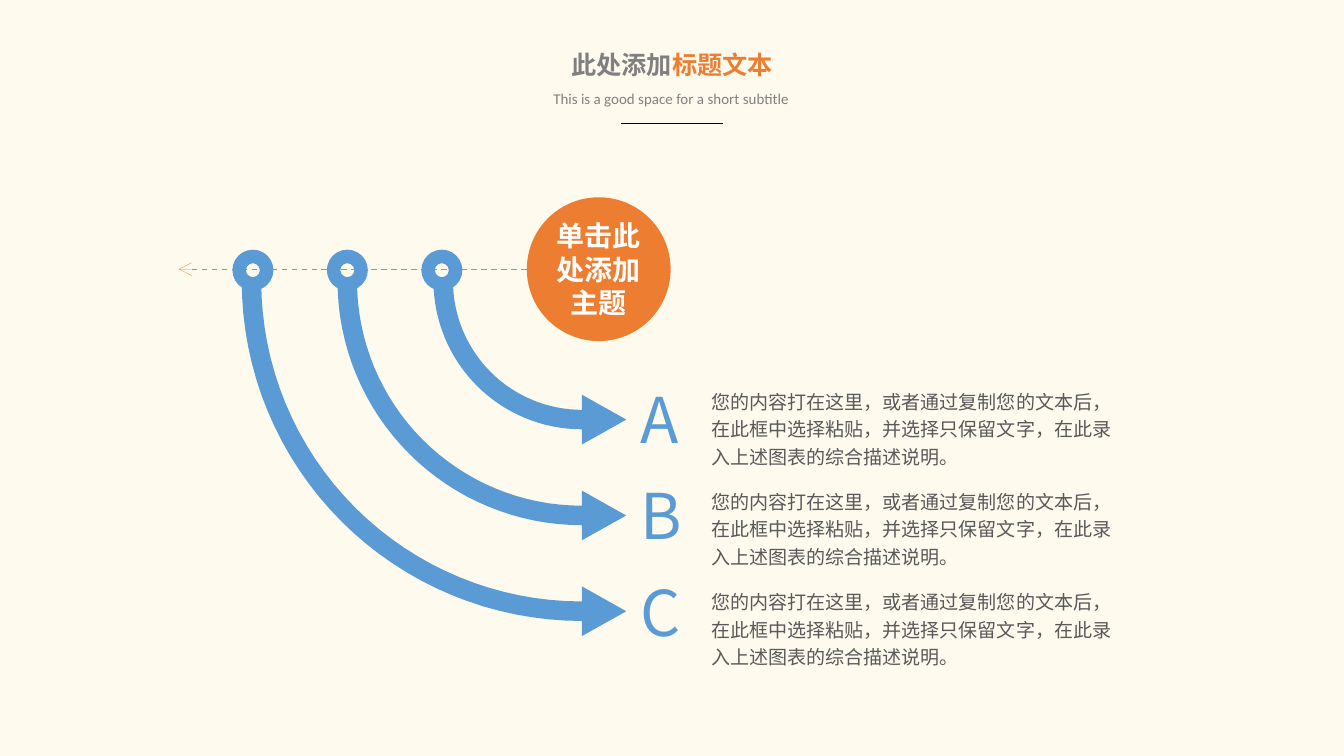
import math

from lxml import etree
from pptx import Presentation, util as u
from pptx.dml.color import RGBColor
from pptx.enum import dml, shapes, text
from pptx.oxml.ns import qn

COLORS = {"cream": "FEFAEE", "orange": "ED7D31", "blue": "5B9BD5", "grey": "808080",
          "body": "595959", "black": "000000", "white": "FFFFFF"}
CJK = "Noto Sans CJK SC"
COLUMNS = 100  # square grid cells across the slide
WIDTH = u.Inches(10)
CELL = WIDTH / COLUMNS


def grid(*cells):
    return [round(c * CELL) for c in cells]


def write(shape, runs, size, font=CJK, bold=False, wrap=True, tight=True,
          align=None, anchor=text.MSO_ANCHOR.TOP, grow=True, spacing=None):
    """Fill a shape's text frame with one paragraph of (words, colour) runs."""
    frame = shape.text_frame
    frame.word_wrap = wrap
    frame.vertical_anchor = anchor
    if grow:
        frame.auto_size = text.MSO_AUTO_SIZE.SHAPE_TO_FIT_TEXT
    if tight:
        frame.margin_left, frame.margin_right = grid(0.6, 0.6)
        frame.margin_top, frame.margin_bottom = grid(0.3, 0.3)
    paragraph = frame.paragraphs[0]
    paragraph.alignment = align
    paragraph.line_spacing = spacing
    for words, color in runs:
        run = paragraph.add_run()
        run.text = words
        run.font.size, run.font.name, run.font.bold = u.Pt(size), font, bold
        run.font.color.rgb = RGBColor.from_string(COLORS[color])
        east_asian = etree.Element(qn("a:ea"), typeface=CJK)
        run.font._element.find(qn("a:latin")).addnext(east_asian)


prs = Presentation()
prs.slide_width, prs.slide_height = WIDTH, WIDTH * 9 // 16
slide = prs.slides.add_slide(prs.slide_layouts[6])
slide.background.fill.solid()
slide.background.fill.fore_color.rgb = RGBColor.from_string(COLORS["cream"])
items = slide.shapes
center = text.PP_ALIGN.CENTER
middle = text.MSO_ANCHOR.MIDDLE

# Heading
title = items.add_textbox(*grid(41.4, 3.2, 17.2, 3.3))
write(title, [("此处添加", "grey"), ("标题文本", "orange")], 13.5, "Calibri",
      bold=True, wrap=False, tight=False, align=center)
subtitle = items.add_textbox(*grid(40.1, 6.2, 19.7, 2.4))
write(subtitle, [("This is a good space for a short subtitle", "grey")], 8, "Calibri",
      wrap=False, tight=False, align=center)

# Topic circle
AXIS = 20.03  # row shared by the circle, the dashed line and the rings
topic = items.add_shape(shapes.MSO_SHAPE.OVAL, *grid(39.2, AXIS - 5.35, 10.7, 10.7))
topic.shadow.inherit = False
topic.fill.solid()
topic.fill.fore_color.rgb = RGBColor.from_string(COLORS["orange"])
topic.line.fill.background()
write(topic, [("单击此处添加主题", "white")], 15, bold=True, align=center,
      anchor=middle, grow=False)

# Heading rule and dashed axis
for ends, color, dashed in [
    ((46.2, 9.2, 53.8, 9.2), "black", False),
    ((39.2, AXIS, 13.3, AXIS), "orange", True),
]:
    rule = items.add_connector(shapes.MSO_CONNECTOR.STRAIGHT, *grid(*ends))
    rule.line.color.rgb = RGBColor.from_string(COLORS[color])
    rule.line.width = u.Pt(0.5)
    etree.SubElement(rule._element.spPr, qn("a:effectLst"))
    if dashed:
        rule.line.dash_style = dml.MSO_LINE.DASH
        stroke = rule._element.spPr.find(qn("a:ln"))
        stroke.set("w", "0")  # hairline
        etree.SubElement(stroke, qn("a:tailEnd"), type="arrow")

# Branches: ring, curved arrow, letter and description
HUB_X, HUB_Y = 43.3, 20.9  # common centre of the arcs
BAND, STEPS = 1.45, 32
DESCRIPTION = ("您的内容打在这里，或者通过复制您的文本后，"
               "在此框中选择粘贴，并选择只保留文字，在此录入上述图表的综合描述说明。")

for i, letter in enumerate("ABC"):
    ring = items.add_shape(shapes.MSO_SHAPE.DONUT,
                           *grid(31.35 - 7.03 * i, AXIS - 1.45, 3.05, 3.05))
    ring.adjustments[0] = 0.33

    outer = 11.05 + 7.13 * i
    inner = outer - BAND
    angles = [math.pi / 2 * s / STEPS for s in range(STEPS + 1)]
    outline = [(HUB_X - r * math.cos(a), HUB_Y + r * math.sin(a))
               for r, sweep in ((outer, angles[::-1]), (inner, angles)) for a in sweep]
    tip = HUB_Y + outer - BAND / 2
    outline += [(HUB_X, tip - 1.85), (HUB_X + 3.3, tip), (HUB_X, tip + 1.85)]
    builder = items.build_freeform(*grid(*outline[0]))
    builder.add_line_segments([grid(*point) for point in outline[1:]], close=True)
    arrow = builder.convert_to_shape()

    for part in (ring, arrow):
        part.shadow.inherit = False
        part.fill.solid()
        part.fill.fore_color.rgb = RGBColor.from_string(COLORS["blue"])
        part.line.fill.background()

    label = items.add_textbox(*grid(47.1, 27.95 + 7.18 * i, 4.4, 6.3))
    write(label, [(letter, "blue")], 33.8, wrap=False, anchor=middle)
    description = items.add_textbox(*grid(52.33, 28.4 + 7.46 * i, 31.8, 6.8))
    write(description, [(DESCRIPTION, "body")], 10.2, spacing=1.2)

prs.save("out.pptx")
